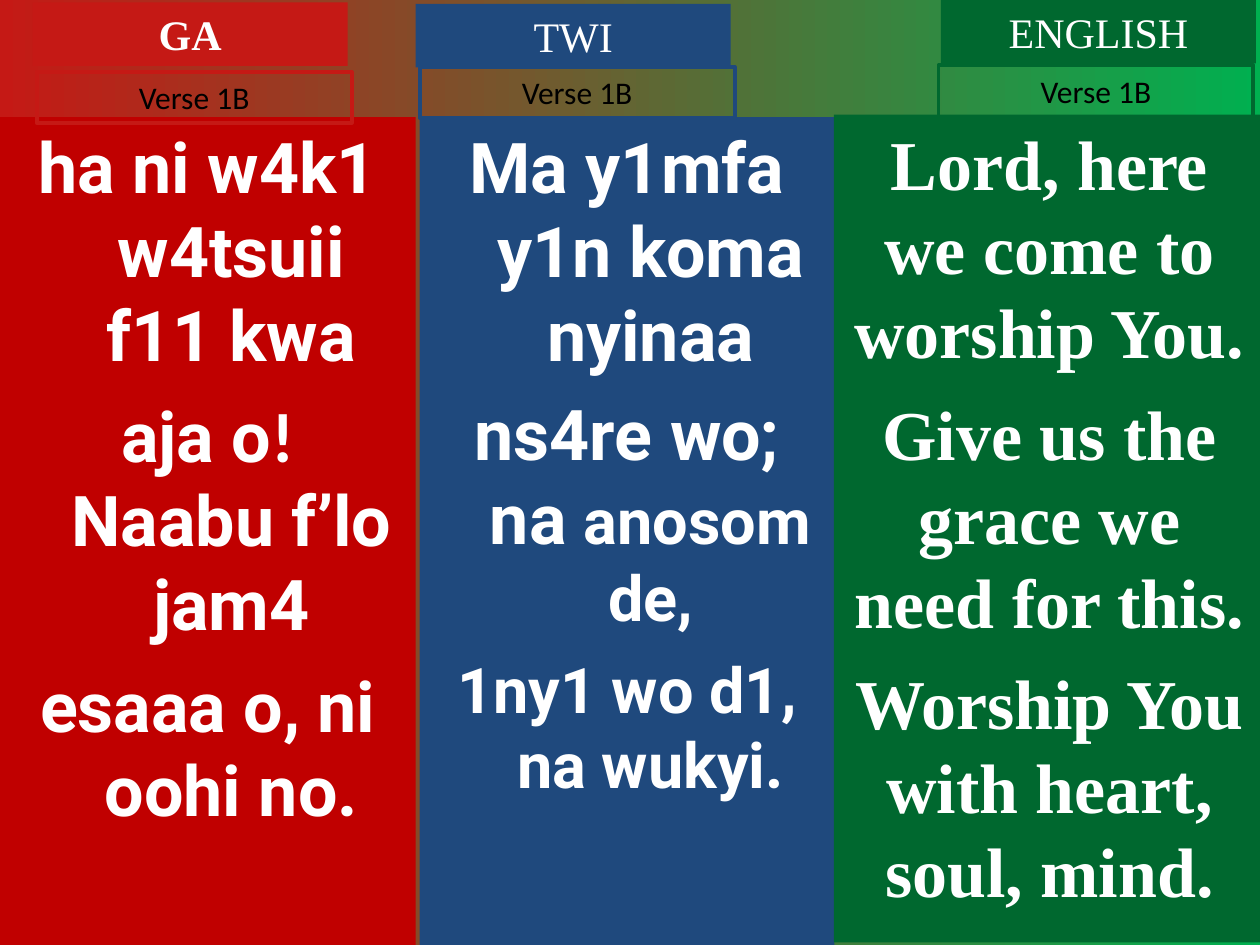
from dataclasses import dataclass

from pptx import Presentation
from pptx.dml.color import RGBColor
from pptx.enum.shapes import MSO_SHAPE
from pptx.enum.text import MSO_ANCHOR, MSO_AUTO_SIZE, PP_ALIGN
from pptx.util import Cm, Pt

WHITE = "FFFFFF"
BLACK = "000000"
SERIF = "Times New Roman"
SANS = "Roboto"
PLAIN = "Calibri"


@dataclass
class Run:
    text: str
    font: str
    size: int = 40
    bold: bool = True
    color: str = WHITE


@dataclass
class Box:
    left: float
    top: float
    width: float
    height: float
    color: str
    lines: list[list[Run]]
    filled: bool = True
    grow: bool = False
    hang: float = 0
    gap: int = 0


def paint(target, color: str) -> None:
    target.rgb = RGBColor.from_string(color)


def add_run(para, run: Run) -> None:
    item = para.add_run()
    item.text = run.text
    font = item.font
    font.name, font.size, font.bold = run.font, Pt(run.size), run.bold
    paint(font.color, run.color)


def add_box(slide, box: Box) -> None:
    shape = slide.shapes.add_shape(
        MSO_SHAPE.RECTANGLE,
        Cm(box.left), Cm(box.top), Cm(box.width), Cm(box.height),
    )
    shape.shadow.inherit = False
    if box.filled:
        shape.fill.solid()
        paint(shape.fill.fore_color, box.color)
        shape.line.fill.background()
    else:
        shape.fill.background()
        paint(shape.line.color, box.color)
        shape.line.width = Pt(2.25)
    frame = shape.text_frame
    frame.word_wrap = True
    frame.vertical_anchor = MSO_ANCHOR.TOP
    frame.auto_size = (
        MSO_AUTO_SIZE.SHAPE_TO_FIT_TEXT if box.grow else MSO_AUTO_SIZE.NONE
    )
    for spot, line in enumerate(box.lines):
        para = frame.add_paragraph() if spot else frame.paragraphs[0]
        para.alignment = PP_ALIGN.CENTER
        if spot:
            para.space_before = Pt(box.gap)
        if box.hang:
            props = para._p.get_or_add_pPr()
            props.set("marL", str(Cm(box.hang)))
            props.set("indent", str(-Cm(box.hang)))
        for run in line:
            add_run(para, run)


def add_head(slide, left: float, top: float, color: str, run: Run) -> None:
    add_box(slide, Box(left, top, 6.35, 1.28, color, [[run]], grow=True))


def add_verse(slide, left: float, top: float, color: str) -> None:
    run = Run("Verse 1B", PLAIN, 18, False, BLACK)
    add_box(slide, Box(left, top, 6.35, 1.03, color, [[run]], False, True))


def main() -> None:
    deck = Presentation()
    deck.slide_width, deck.slide_height = Cm(25.4), Cm(19.05)
    slide = deck.slides.add_slide(deck.slide_layouts[6])
    fill = slide.background.fill
    fill.gradient()
    fill.gradient_angle = 0
    for stop, color, place in zip(
        fill.gradient_stops, ("C51915", "00B050"), (0, 1)
    ):
        paint(stop.color, color)
        stop.position = place

    ga = [
        [Run("ha ni w4k1 w4tsuii f11 kwa", SANS)],
        [Run("aja o", SANS), Run("!", PLAIN), Run(" Naabu f’lo jam4", SANS)],
        [Run("esaaa o, ni oohi no.", SANS)],
    ]
    twi = [
        [Run("Ma y1mfa y1n koma nyinaa", SANS)],
        [Run("ns4re wo; na ", SANS), Run("anosom de,", SANS, 36)],
        [Run("1ny1 wo d1, na wukyi.", SANS, 36)],
    ]
    eng = [
        [Run("Lord, here we come to worship You.", SERIF)],
        [Run("Give us the grace we need for this.", SERIF)],
        [Run("Worship You with heart, soul, mind.", SERIF)],
    ]
    for box in (
        Box(0, 2.36, 8.38, 16.69, "C00000", ga, hang=0.95, gap=10),
        Box(8.46, 2.36, 8.36, 16.69, "1F497D", twi, hang=0.95, gap=9),
        Box(16.81, 2.31, 8.69, 16.69, "00682F", eng, gap=10),
    ):
        add_box(slide, box)

    add_head(slide, 0.66, 0.05, "C51915", Run("GA", SERIF, 24))
    add_head(slide, 8.38, 0.08, "1F497D", Run("TWI", SERIF, 24, False))
    add_head(slide, 18.97, 0, "00682F", Run("ENGLISH", SERIF, 24, False))
    add_verse(slide, 0.74, 1.45, "C51915")
    add_verse(slide, 8.46, 1.35, "1F497D")
    add_verse(slide, 18.92, 1.32, "00682F")
    deck.save("out.pptx")


if __name__ == "__main__":
    main()
